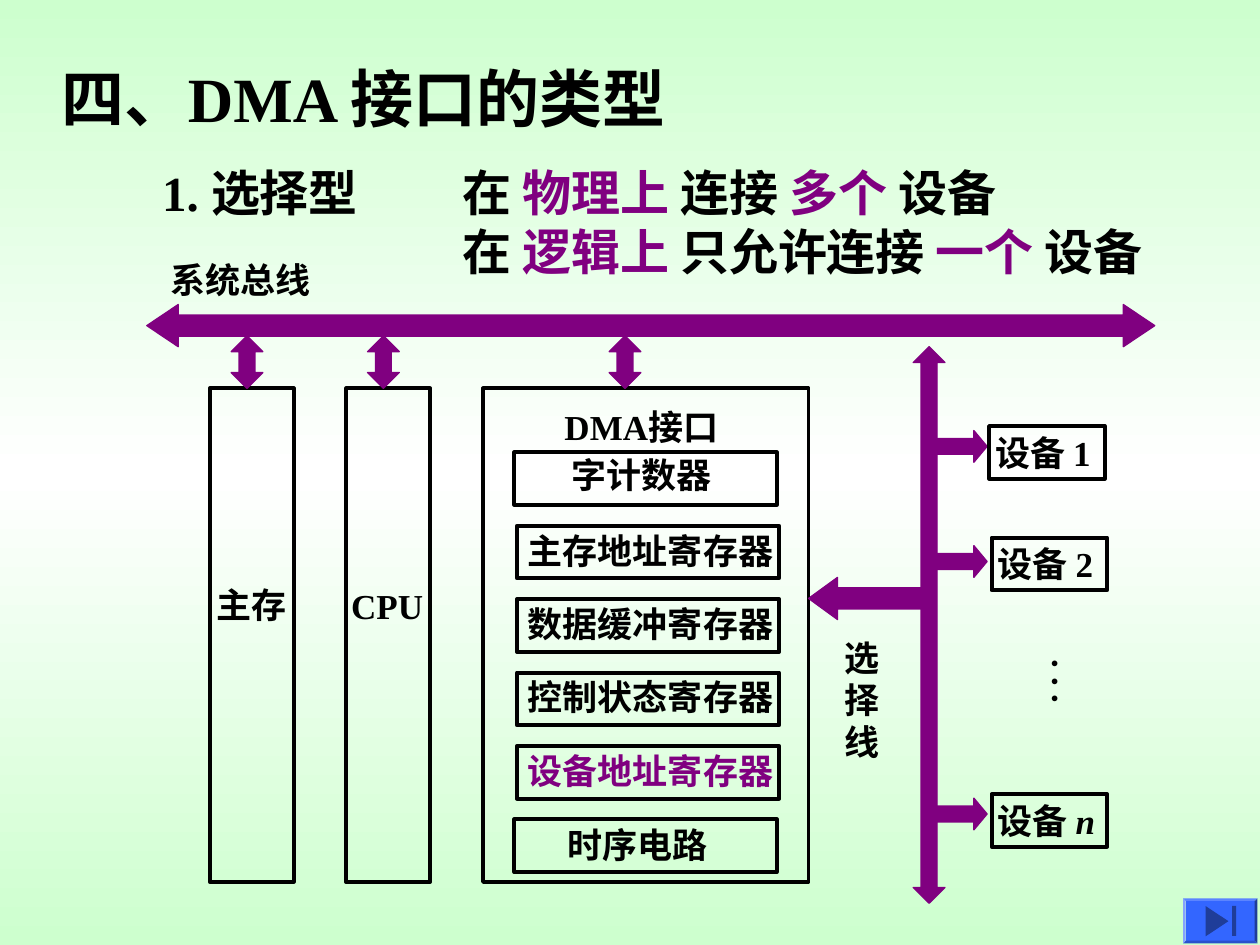
from copy import deepcopy
from pptx import Presentation
from pptx.dml.color import RGBColor
from pptx.enum.shapes import MSO_SHAPE
from pptx.enum.text import MSO_AUTO_SIZE
from pptx.oxml.ns import qn
from pptx.util import Cm, Pt

BLACK = RGBColor(0x00, 0x00, 0x00)
PURPLE = RGBColor(0x80, 0x00, 0x80)
MINT = RGBColor(0xCD, 0xFF, 0xCE)
WHITE = RGBColor(0xFF, 0xFF, 0xFF)
BLUE = RGBColor(0x33, 0x66, 0xFF)
NAVY = RGBColor(0x1F, 0x3D, 0x99)

presentation = Presentation()
presentation.slide_width = Cm(25.4)
presentation.slide_height = Cm(19.05)
slide = presentation.slides.add_slide(presentation.slide_layouts[6])

background = slide.background.fill
background.gradient()
background.gradient_angle = 90
stop_list = slide.element.find(".//" + qn("a:gsLst"))
stop_list.append(deepcopy(stop_list[0]))
for stop, position, color in zip(background.gradient_stops, (0, 0.5, 1), (MINT, WHITE, MINT)):
    stop.position = position
    stop.color.rgb = color


def add_text(paragraphs, left, top, width, height=1.11, size=20, wrap=False):
    shape = slide.shapes.add_textbox(Cm(left), Cm(top), Cm(width), Cm(height))
    frame = shape.text_frame
    frame.word_wrap = wrap
    frame.auto_size = MSO_AUTO_SIZE.SHAPE_TO_FIT_TEXT
    for index, runs in enumerate(paragraphs):
        paragraph = frame.add_paragraph() if index else frame.paragraphs[0]
        for text, color, italic in runs:
            run = paragraph.add_run()
            run.text = text
            run.font.color.rgb = color
            values = {"name": "Times New Roman", "size": Pt(size), "bold": True, "italic": italic}
            for name, value in values.items():
                setattr(run.font, name, value)
    return shape


def add_shape(kind, left, top, width, height, fill=None, line=None, weight=0.75, adjustments=()):
    shape = slide.shapes.add_shape(kind, Cm(left), Cm(top), Cm(width), Cm(height))
    shape.shadow.inherit = False
    for index, value in enumerate(adjustments):
        shape.adjustments[index] = value
    if fill is None:
        shape.fill.background()
    else:
        shape.fill.solid()
        shape.fill.fore_color.rgb = fill
    if line is None:
        shape.line.fill.background()
    else:
        shape.line.color.rgb = line
        shape.line.width = Pt(weight)


add_text([[("四、DMA 接口的类型", BLACK, False)]], 1, 1.08, 13.8, 1.77, 36)
add_text([[("1. 选择型", BLACK, False)]], 3.02, 3.15, 5.2, 1.46, 28)
statements = [
    ("在 ", "物理上 ", "连接 ", "多个 ", "设备"),
    ("在 ", "逻辑上 ", "只允许连接 ", "一个 ", "设备"),
]
add_text(
    [[(part, PURPLE if index % 2 else BLACK, False) for index, part in enumerate(parts)]
     for parts in statements],
    9.07, 3.15, 15.49, 2.63, 28, True,
)

registers = [
    ("字计数器", 10.37, 11.27, 9.02, BLACK),
    ("主存地址寄存器", 10.42, 10.39, 10.54, BLACK),
    ("数据缓冲寄存器", 10.42, 10.39, 12.02, BLACK),
    ("控制状态寄存器", 10.42, 10.39, 13.5, BLACK),
    ("设备地址寄存器", 10.42, 10.39, 14.99, PURPLE),
    ("时序电路", 10.37, 11.19, 16.48, BLACK),
]
for index, (label, box_left, text_left, text_top, color) in enumerate(registers):
    add_text([[(label, color, False)]], text_left, text_top, 0.72 * len(label) + 0.8)
    add_shape(MSO_SHAPE.RECTANGLE, box_left, 9.12 + 1.48 * index, 5.29, 1.06, line=BLACK, weight=2.25)

for left, width in ((4.23, 1.69), (6.98, 1.69), (9.74, 6.56)):
    add_shape(MSO_SHAPE.RECTANGLE, left, 7.83, width, 9.95, line=BLACK, weight=2.25)
labels = [
    ("主存", 4.11, 11.63, 2.4),
    ("CPU", 6.83, 11.66, 2.4),
    ("DMA接口", 11.13, 8.04, 4.2),
    ("系统总线", 3.18, 5.08, 3.7),
]
for label, left, top, width in labels:
    add_text([[(label, BLACK, False)]], left, top, width)

arrows = [
    (MSO_SHAPE.LEFT_RIGHT_ARROW, 2.96, 6.14, 20.32, 0.85, (0.5, 0.745)),
    (MSO_SHAPE.UP_DOWN_ARROW, 18.41, 6.99, 0.64, 11.22, (1.418, 0.5)),
    (MSO_SHAPE.LEFT_ARROW, 16.3, 11.64, 2.33, 0.85, (0.5, 0.688)),
]
arrows += [
    (MSO_SHAPE.UP_DOWN_ARROW, left, 6.77, 0.64, 1.06, (0.332, 0.5)) for left in (4.66, 7.41, 12.28)
]
arrows += [
    (MSO_SHAPE.RIGHT_ARROW, 18.84, top, 1.06, 0.64, (0.5, 0.417)) for top in (8.68, 11, 16.09)
]
for kind, left, top, width, height, adjustments in arrows:
    add_shape(kind, left, top, width, height, PURPLE, PURPLE, adjustments=adjustments)

devices = [("1", 19.94, 8.59, False), ("2", 19.99, 10.84, False), ("n", 19.99, 16.01, True)]
for number, left, top, italic in devices:
    add_text([[("设备 ", BLACK, False), (number, BLACK, italic)]], left - 0.13, top - 0.02, 3.1)
    add_shape(MSO_SHAPE.RECTANGLE, left, top, 2.33, 1.06, line=BLACK, weight=2.25)

add_text([[(character, BLACK, False)] for character in "选择线"], 16.77, 12.7, 1.25, 2.79)
dots = add_text([[(". . .", BLACK, False)]], 20.7, 13.05, 1.35, 1.3)
dots.element.find(".//" + qn("a:bodyPr")).set("vert", "eaVert")
margins = {"margin_left": 0.13, "margin_right": 0.13, "margin_top": 0.25, "margin_bottom": 0.25}
for name, value in margins.items():
    setattr(dots.text_frame, name, Cm(value))

add_shape(MSO_SHAPE.BEVEL, 23.85, 18.11, 1.5, 0.91, BLUE, adjustments=(0.06,))
add_shape(MSO_SHAPE.FLOWCHART_MERGE, 24.23, 18.34, 0.61, 0.46, NAVY)
slide.shapes[-1].rotation = 270
add_shape(MSO_SHAPE.RECTANGLE, 24.84, 18.26, 0.08, 0.61, NAVY)

presentation.save("out.pptx")
